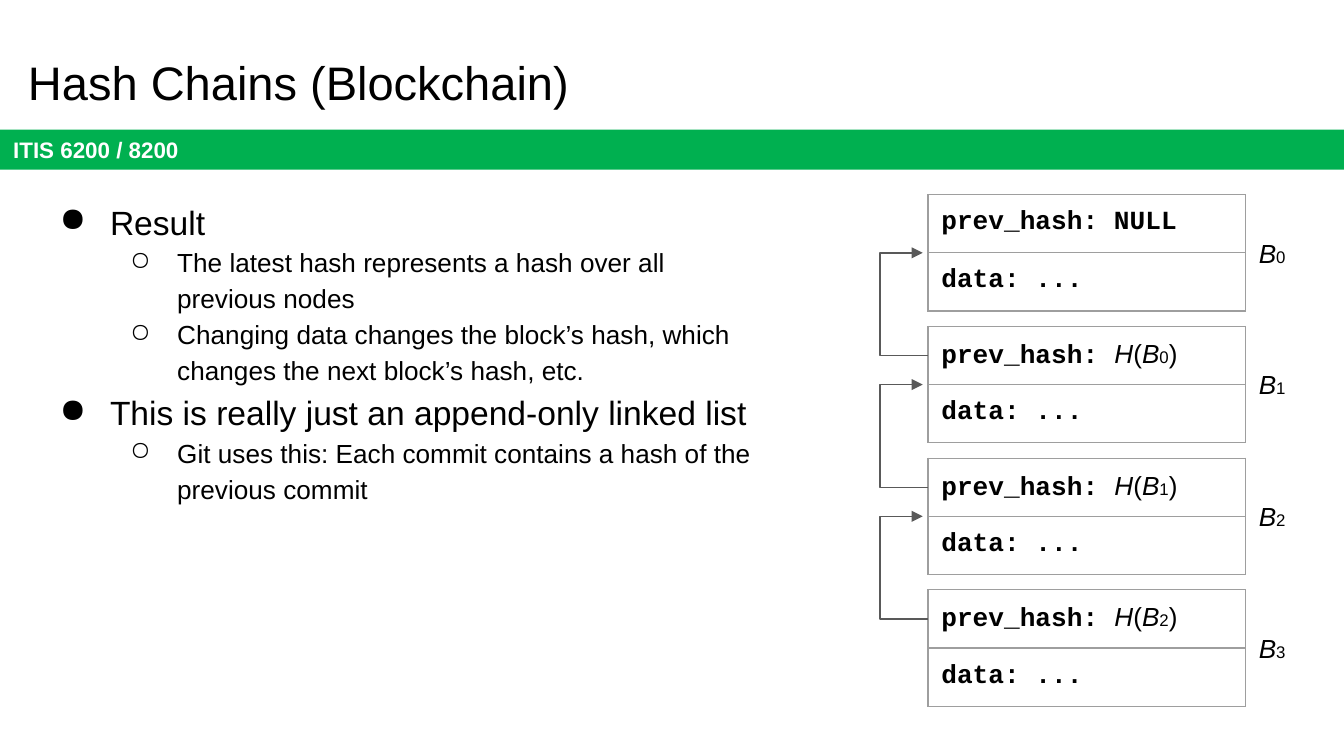
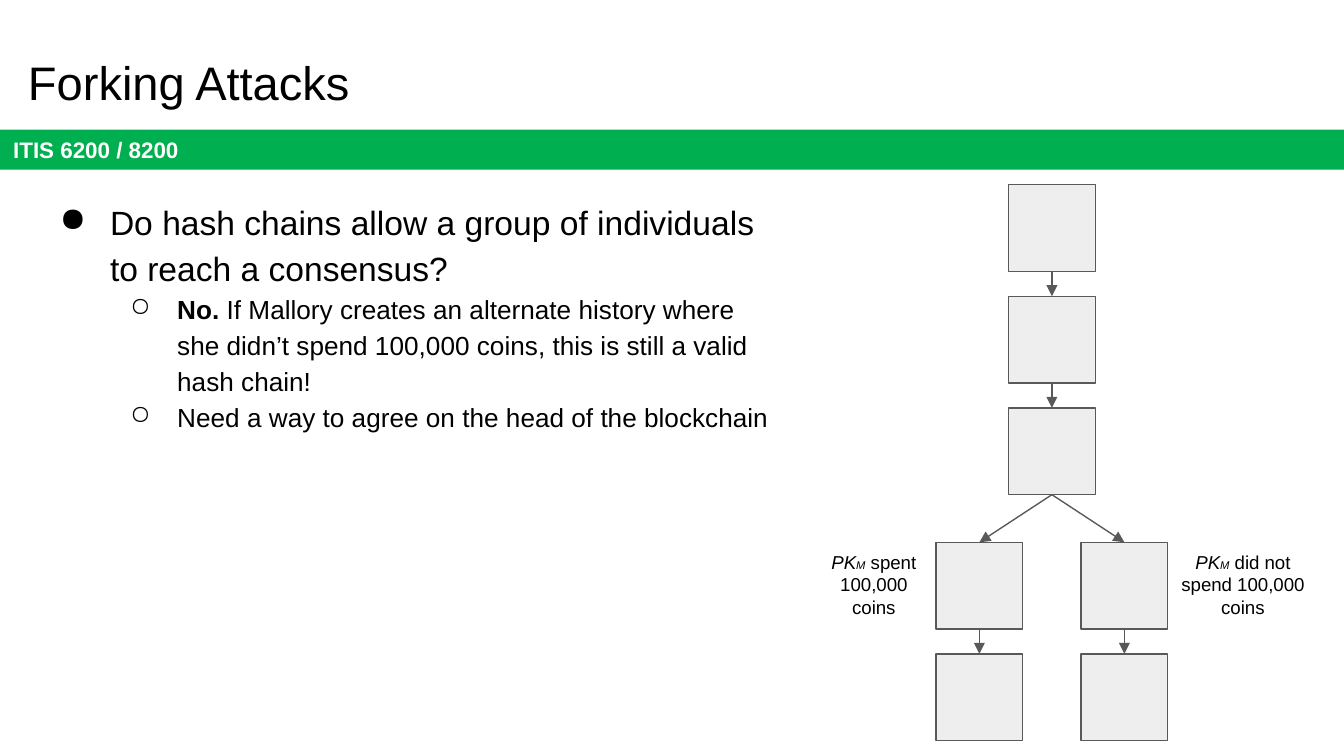
from dataclasses import dataclass, replace

from lxml.etree import SubElement
from pptx import Presentation
from pptx.dml.color import RGBColor
from pptx.enum.shapes import MSO_CONNECTOR, MSO_SHAPE
from pptx.enum.text import MSO_ANCHOR, PP_ALIGN
from pptx.oxml.ns import qn
from pptx.util import Cm, Pt


@dataclass(frozen=True)
class Style:
    size: float
    font: str = "Arial"
    color: str = "000000"
    bold: bool = False
    italic: bool = False


@dataclass(frozen=True)
class Theme:
    band: str = "00B050"
    paper: str = "FFFFFF"
    block: str = "EEEEEE"
    line: str = "595959"
    border: str = "9E9E9E"
    line_width: float = 0.75
    inset: float = 0.25
    title: Style = Style(25.2)
    course: Style = Style(12, color="FFFFFF", bold=True)
    topic: Style = Style(18)
    detail: Style = Style(14)
    code: Style = Style(14, font="Courier New", bold=True)
    index: Style = Style(9)
    note: Style = Style(10)
    note_index: Style = Style(6, italic=True)


THEME = Theme()
SLIDE_WIDTH, SLIDE_HEIGHT = 25.4, 14.29
VARIABLE = replace(THEME.detail, italic=True)

# bullet level: (character, left margin, hanging indent)
BULLETS = {0: ("●", 1.27, 0.95), 1: ("○", 2.54, 0.89)}

BLOCK_LEFT, BLOCK_TOP, BLOCK_WIDTH = 17.54, 3.68, 6.0
ROW_HEIGHT, BLOCK_PITCH = 1.1, 2.49

SQUARE = 1.64
SQUARE_PITCH = 2.11
TRUNK_X, TRUNK_TOP = 19.88, 3.49
BRANCH_OFFSET, BRANCH_TOP = 1.37, 10.25


def rgb(color):
    return RGBColor.from_string(color)


def write_runs(paragraph, runs):
    """Fill a paragraph from (text, Style) pairs."""
    for text, style in runs:
        run = paragraph.add_run()
        run.text = text
        run.font.size = Pt(style.size)
        run.font.name = style.font
        run.font.bold = style.bold
        run.font.italic = style.italic
        run.font.color.rgb = rgb(style.color)


def set_insets(holder):
    """Give a text frame or a table cell the common inset on all sides."""
    holder.margin_left = holder.margin_right = Cm(THEME.inset)
    holder.margin_top = holder.margin_bottom = Cm(THEME.inset)


def add_text(slide, left, top, width, height, runs=(), alignment=PP_ALIGN.LEFT):
    box = slide.shapes.add_textbox(Cm(left), Cm(top), Cm(width), Cm(height))
    text_frame = box.text_frame
    text_frame.word_wrap = True
    set_insets(text_frame)
    paragraph = text_frame.paragraphs[0]
    paragraph.alignment = alignment
    write_runs(paragraph, runs)
    return text_frame


def add_rectangle(slide, left, top, width, height, fill, line=None):
    shape = slide.shapes.add_shape(
        MSO_SHAPE.RECTANGLE, Cm(left), Cm(top), Cm(width), Cm(height))
    shape.shadow.inherit = False
    shape.fill.solid()
    shape.fill.fore_color.rgb = rgb(fill)
    if line:
        set_line(shape, line)
    else:
        shape.line.fill.background()
    return shape


def set_line(shape, color):
    shape.line.color.rgb = rgb(color)
    shape.line.width = Pt(THEME.line_width)


def draw_arrow_line(shape):
    """Style a line and put a triangle at its end."""
    set_line(shape, THEME.line)
    SubElement(shape.element.spPr.find(qn("a:ln")), qn("a:tailEnd"), type="triangle")


def add_arrow(slide, start, end):
    points = [Cm(value) for value in (*start, *end)]
    connector = slide.shapes.add_connector(MSO_CONNECTOR.STRAIGHT, *points)
    draw_arrow_line(connector)
    SubElement(connector.element.spPr, qn("a:effectLst"))


def add_bent_arrow(slide, points):
    start, *rest = [(Cm(x), Cm(y)) for x, y in points]
    builder = slide.shapes.build_freeform(*start)
    builder.add_line_segments(rest, close=False)
    shape = builder.convert_to_shape()
    shape.fill.background()
    shape.shadow.inherit = False
    draw_arrow_line(shape)


def add_bullets(slide, items):
    """Write (level, runs) items as a bulleted list."""
    text_frame = add_text(slide, 0.56, 3.45, 14.27, 10.46)
    for number, (level, runs) in enumerate(items):
        paragraph = text_frame.add_paragraph() if number else text_frame.paragraphs[0]
        paragraph.level = level
        paragraph.line_spacing = 1.15
        character, margin, hanging = BULLETS[level]
        properties = paragraph._p.get_or_add_pPr()
        properties.set("marL", str(Cm(margin)))
        properties.set("indent", str(-Cm(hanging)))
        bullet_color = SubElement(properties, qn("a:buClr"))
        SubElement(bullet_color, qn("a:srgbClr"), val=THEME.topic.color)
        SubElement(properties, qn("a:buChar"), char=character)
        write_runs(paragraph, runs)


def topic(text):
    return 0, [(text, THEME.topic)]


def detail(text, lead=""):
    bold = [(lead, replace(THEME.detail, bold=True))] if lead else []
    return 1, bold + [(text, THEME.detail)]


def add_slide(presentation, title):
    """Add a slide with the title and the course band."""
    slide = presentation.slides.add_slide(presentation.slide_layouts[6])
    band = add_rectangle(slide, 0, 2.45, SLIDE_WIDTH, 0.76, THEME.band)
    set_insets(band.text_frame)
    band.text_frame.vertical_anchor = MSO_ANCHOR.MIDDLE
    paragraph = band.text_frame.paragraphs[0]
    paragraph.alignment = PP_ALIGN.LEFT
    write_runs(paragraph, [("ITIS 6200 / 8200", THEME.course)])
    add_text(slide, 0.28, 0.76, 23.67, 1.6, [(title, THEME.title)])
    return slide


def set_borders(cell):
    properties = cell._tc.get_or_add_tcPr()
    for side in ("a:lnL", "a:lnR", "a:lnT", "a:lnB"):
        border = SubElement(properties, qn(side), w=str(Pt(THEME.line_width)))
        fill = SubElement(border, qn("a:solidFill"))
        SubElement(fill, qn("a:srgbClr"), val=THEME.border)


def add_block_table(slide, top, rows):
    frame = slide.shapes.add_table(
        len(rows), 1, Cm(BLOCK_LEFT), Cm(top), Cm(BLOCK_WIDTH), Cm(ROW_HEIGHT * len(rows)))
    table = frame.table
    table.first_row = table.horz_banding = False
    for number, runs in enumerate(rows):
        table.rows[number].height = Cm(ROW_HEIGHT)
        cell = table.cell(number, 0)
        set_insets(cell)
        set_borders(cell)
        cell.fill.solid()
        cell.fill.fore_color.rgb = rgb(THEME.paper)
        write_runs(cell.text_frame.paragraphs[0], runs)


def block_name(number):
    return [("B", VARIABLE), (str(number), THEME.index)]


def previous_hash(number):
    """Runs for the hash field of a block; the first block has none."""
    if number == 0:
        return [("prev_hash: NULL", THEME.code)]
    return [("prev_hash: ", THEME.code), ("H", VARIABLE), ("(", THEME.detail),
            *block_name(number - 1), (")", THEME.detail)]


def add_block(slide, number):
    top = BLOCK_TOP + number * BLOCK_PITCH
    add_block_table(slide, top, [previous_hash(number), [("data: ...", THEME.code)]])
    add_text(slide, BLOCK_LEFT + BLOCK_WIDTH, top + ROW_HEIGHT / 2, 1.12, 1.12,
             block_name(number))
    if number:
        start_y = top + ROW_HEIGHT / 2
        end_y = top - BLOCK_PITCH + ROW_HEIGHT
        bend_x = BLOCK_LEFT - 0.91
        add_bent_arrow(slide, [(BLOCK_LEFT, start_y), (bend_x, start_y),
                               (bend_x, end_y), (BLOCK_LEFT - 0.1, end_y)])


def add_square_chain(slide, center, top, count):
    """Stack squares joined by arrows; return the bottom of the last one."""
    for number in range(count):
        y = top + number * SQUARE_PITCH
        add_rectangle(slide, center - SQUARE / 2, y, SQUARE, SQUARE, THEME.block, THEME.line)
        if number:
            add_arrow(slide, (center, y - SQUARE_PITCH + SQUARE), (center, y))
    return y + SQUARE


def add_branch_note(slide, left, width, text):
    runs = [("PK", replace(THEME.note, italic=True)), ("M", THEME.note_index),
            (text, THEME.note)]
    add_text(slide, left, 10.16, width, 1.8, runs, PP_ALIGN.CENTER)


def build_hash_chains(presentation):
    slide = add_slide(presentation, "Hash Chains (Blockchain)")
    add_bullets(slide, [
        topic("Result"),
        detail("The latest hash represents a hash over all previous nodes"),
        detail("Changing data changes the block’s hash, which changes the next "
               "block’s hash, etc."),
        topic("This is really just an append-only linked list"),
        detail("Git uses this: Each commit contains a hash of the previous commit"),
    ])
    for number in range(4):
        add_block(slide, number)


def build_forking_attacks(presentation):
    slide = add_slide(presentation, "Forking Attacks")
    add_bullets(slide, [
        topic("Do hash chains allow a group of individuals to reach a consensus?"),
        detail(" If Mallory creates an alternate history where she didn’t spend "
               "100,000 coins, this is still a valid hash chain!", lead="No."),
        detail("Need a way to agree on the head of the blockchain"),
    ])
    fork_y = add_square_chain(slide, TRUNK_X, TRUNK_TOP, 3)
    for center in (TRUNK_X + BRANCH_OFFSET, TRUNK_X - BRANCH_OFFSET):
        add_square_chain(slide, center, BRANCH_TOP, 2)
        add_arrow(slide, (TRUNK_X, fork_y), (center, BRANCH_TOP))
    add_branch_note(slide, 15.32, 2.39, " spent 100,000 coins")
    add_branch_note(slide, 22.07, 2.84, " did not spend 100,000 coins")


def main():
    presentation = Presentation()
    presentation.slide_width = Cm(SLIDE_WIDTH)
    presentation.slide_height = Cm(SLIDE_HEIGHT)
    build_hash_chains(presentation)
    build_forking_attacks(presentation)
    presentation.save("out.pptx")


if __name__ == "__main__":
    main()
